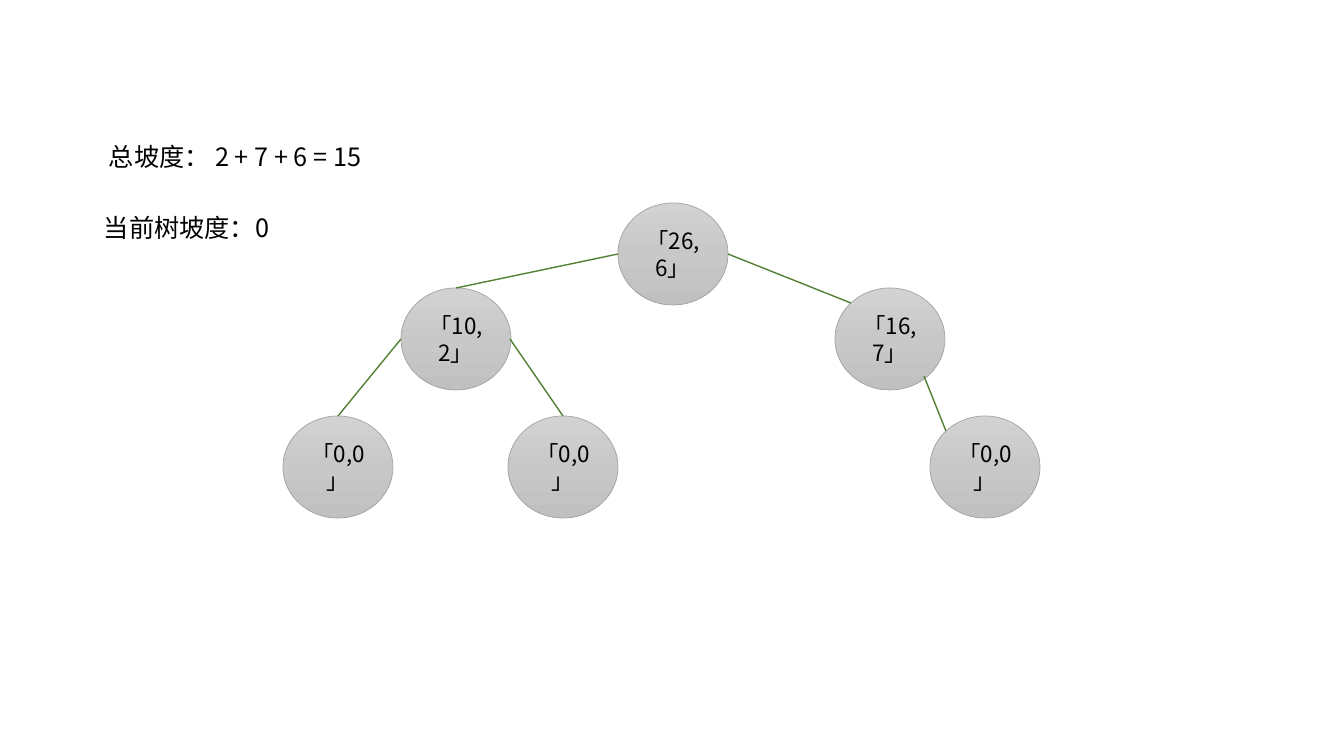
from copy import deepcopy

from lxml import etree
from pptx import Presentation
from pptx.dml.color import RGBColor
from pptx.enum.shapes import MSO_CONNECTOR, MSO_SHAPE
from pptx.enum.text import MSO_ANCHOR, MSO_AUTO_SIZE, PP_ALIGN
from pptx.oxml.ns import qn
from pptx.util import Pt

OVAL = MSO_SHAPE.OVAL
LINE = MSO_CONNECTOR.STRAIGHT
MIDDLE = MSO_ANCHOR.MIDDLE
GROW = MSO_AUTO_SIZE.SHAPE_TO_FIT_TEXT
LEFT, CENTER = PP_ALIGN.LEFT, PP_ALIGN.CENTER

SCALE = 914400 / 100.8
FONT = "Noto Sans CJK SC"
NODE_W, NODE_H = 110, 102
TOP = 0
GREYS = ((0, "D2D2D2"), (0.5, "C8C8C8"), (1, "C0C0C0"))

NODES = {
    "root": (618, 203, "「26,6」"),
    "left": (401, 288, "「10,2」"),
    "right": (835, 288, "「16,7」"),
    "leaf1": (283, 416, "「0,0」"),
    "leaf2": (508, 416, "「0,0」"),
    "leaf3": (930, 416, "「0,0」"),
}
JOINED = (
    (618, 254, "left"),
    (401, 339, "leaf1"),
    (510, 339, "leaf2"),
)
FREE = (
    (924, 376, 946, 431),
    (728, 254, 851, 303),
)
LABELS = (
    (94, 207, 276, "当前树坡度：0"),
    (99, 136, 302, "总坡度： 2 + 7 + 6 = 15"),
)


def px(n):
    return round(n * SCALE)


def color(code):
    return RGBColor.from_string(code)


def write(frame, text, size=18, align=LEFT, ink="000000"):
    frame.word_wrap = True
    para = frame.paragraphs[0]
    para.alignment = align
    run = para.add_run()
    run.text = text
    run.font.size = Pt(size)
    run.font.name = FONT
    run.font.color.rgb = color(ink)
    east = etree.SubElement(run.font._element, qn("a:ea"))
    east.set("typeface", FONT)


def shade(shape):
    fill = shape.fill
    fill.gradient()
    fill.gradient_angle = 270
    stops = shape._element.spPr.find(".//" + qn("a:gsLst"))
    stops.append(deepcopy(stops[-1]))
    for stop, (place, code) in zip(fill.gradient_stops, GREYS):
        stop.position = place
        stop.color.rgb = color(code)


def add_node(slide, x, y, text):
    node = slide.shapes.add_shape(OVAL, px(x), px(y), px(NODE_W), px(NODE_H))
    node.shadow.inherit = False
    shade(node)
    node.line.color.rgb = color("A5A5A5")
    node.line.width = Pt(0.5)
    node.text_frame.vertical_anchor = MIDDLE
    write(node.text_frame, text, size=16, align=CENTER)
    return node


def add_edge(slide, x1, y1, x2, y2):
    edge = slide.shapes.add_connector(LINE, px(x1), px(y1), px(x2), px(y2))
    edge.line.color.rgb = color("538035")
    edge.line.width = Pt(1)
    etree.SubElement(edge._element.spPr, qn("a:effectLst"))
    return edge


def add_label(slide, x, y, w, text):
    box = slide.shapes.add_textbox(px(x), px(y), px(w), px(40))
    box.text_frame.auto_size = GROW
    write(box.text_frame, text)


def main():
    deck = Presentation()
    deck.slide_width, deck.slide_height = px(1344), px(756)
    slide = deck.slides.add_slide(deck.slide_layouts[6])
    nodes = {name: add_node(slide, *spec) for name, spec in NODES.items()}
    for x, y, child in JOINED:
        edge = add_edge(slide, x, y, x, y)
        edge.end_connect(nodes[child], TOP)
    for ends in FREE:
        add_edge(slide, *ends)
    for label in LABELS:
        add_label(slide, *label)
    deck.save("out.pptx")


if __name__ == "__main__":
    main()
